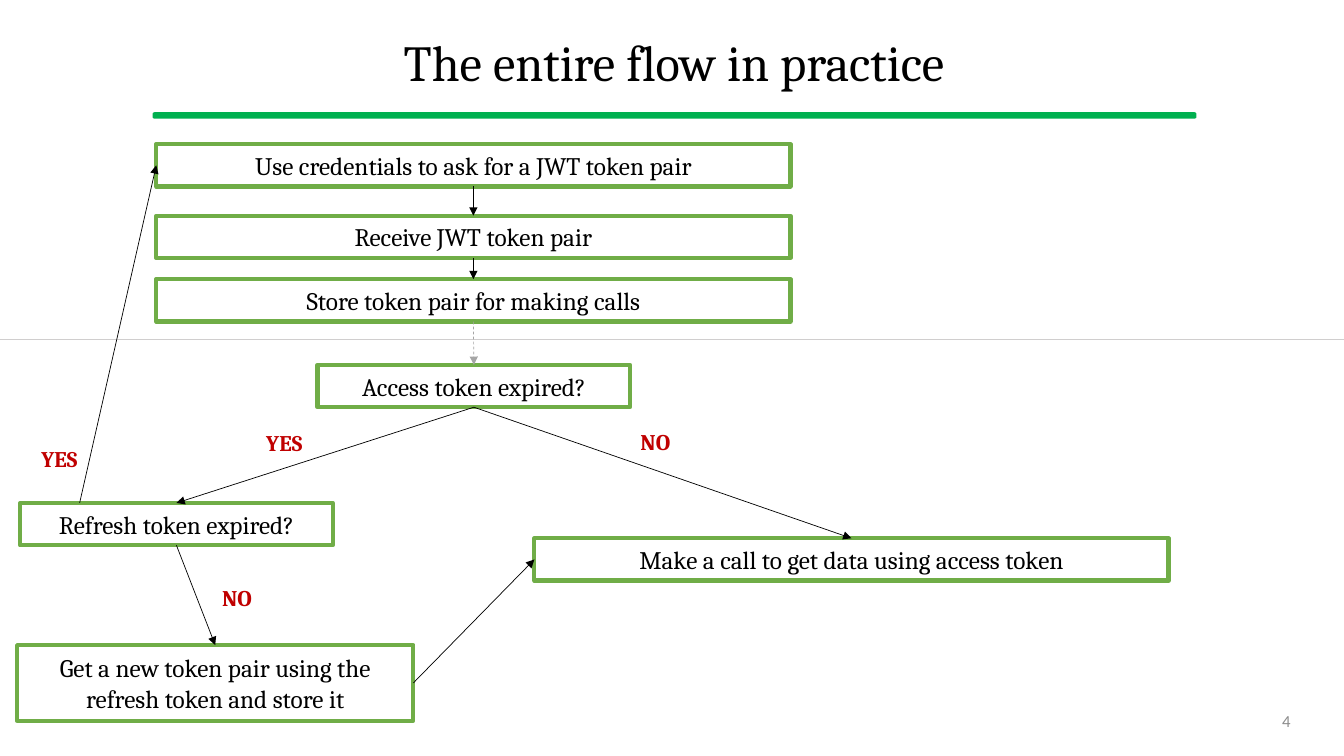
"""Build the slide that shows the token flow in practice."""
from dataclasses import dataclass
from enum import IntEnum

from lxml import etree
from pptx import Presentation
from pptx.dml.color import RGBColor
from pptx.enum.dml import MSO_LINE
from pptx.enum.shapes import MSO_CONNECTOR, MSO_SHAPE
from pptx.enum.text import MSO_ANCHOR, PP_ALIGN
from pptx.oxml.ns import qn
from pptx.shapes.autoshape import Shape
from pptx.shapes.connector import Connector
from pptx.util import Inches, Pt

BLACK = RGBColor(0x00, 0x00, 0x00)
WHITE = RGBColor(0xFF, 0xFF, 0xFF)
RULE_GREEN = RGBColor(0x00, 0xB0, 0x50)
BOX_GREEN = RGBColor(0x70, 0xAD, 0x47)
ANSWER_RED = RGBColor(0xC0, 0x00, 0x00)
DASH_GRAY = RGBColor(0xA5, 0xA5, 0xA5)
DIVIDER_GRAY = RGBColor(0xD0, 0xCE, 0xCE)
NUMBER_GRAY = RGBColor(0x8C, 0x8C, 0x8C)

SLIDE_W, SLIDE_H = 13.33, 7.5
STEP_W, QUESTION_W, BOX_H = 6.29, 3.1, 0.42
STEP_X = 1.55


class Side(IntEnum):
    TOP = 0
    LEFT = 1
    BOTTOM = 2
    RIGHT = 3


@dataclass(frozen=True)
class Box:
    text: str
    left: float
    top: float
    width: float
    height: float = BOX_H


@dataclass(frozen=True)
class Arrow:
    start: str
    start_side: Side
    end: str
    end_side: Side
    color: RGBColor = BLACK
    dashed: bool = False


@dataclass(frozen=True)
class Answer:
    text: str
    left: float
    top: float


BOXES = {
    "ask": Box("Use credentials to ask for a JWT token pair", STEP_X, 1.43, STEP_W),
    "receive": Box("Receive JWT token pair", STEP_X, 2.14, STEP_W),
    "store": Box("Store token pair for making calls", STEP_X, 2.77, STEP_W),
    "access": Box("Access token expired?", 3.15, 3.62, QUESTION_W),
    "call": Box("Make a call to get data using access token", 5.3, 5.34, STEP_W),
    "refresh": Box("Refresh token expired?", 0.2, 4.99, QUESTION_W),
    "renew": Box("Get a new token pair using the refresh token and store it",
                 0.17, 6.4, 3.93, 0.75),
}
ARROWS = [
    Arrow("ask", Side.BOTTOM, "receive", Side.TOP),
    Arrow("receive", Side.BOTTOM, "store", Side.TOP),
    Arrow("store", Side.BOTTOM, "access", Side.TOP, DASH_GRAY, True),
    Arrow("access", Side.BOTTOM, "call", Side.TOP),
    Arrow("access", Side.BOTTOM, "refresh", Side.TOP),
    Arrow("renew", Side.RIGHT, "call", Side.LEFT),
    Arrow("refresh", Side.BOTTOM, "renew", Side.TOP),
]
ANSWERS = [
    Answer("YES", 2.4, 4.24),
    Answer("NO", 6.08, 4.23),
    Answer("YES", 0.17, 4.4),
    Answer("NO", 1.93, 5.78),
]

prs = Presentation()
prs.slide_width, prs.slide_height = Inches(SLIDE_W), Inches(SLIDE_H)
slide = prs.slides.add_slide(prs.slide_layouts[5])
shapes = slide.shapes


def write(shape: Shape, text: str, size: float, color: RGBColor = BLACK,
          font: str = "Cambria", align: PP_ALIGN = PP_ALIGN.CENTER,
          anchor: MSO_ANCHOR = MSO_ANCHOR.MIDDLE, bold: bool = False) -> None:
    """Set a shape's single paragraph of text and its format."""
    frame = shape.text_frame
    frame.word_wrap = True
    frame.vertical_anchor = anchor
    paragraph = frame.paragraphs[0]
    paragraph.alignment = align
    run = paragraph.add_run()
    run.text = text
    run.font.size, run.font.name, run.font.bold = Pt(size), font, bold
    run.font.color.rgb = color


def add_block(kind: MSO_SHAPE, left: float, top: float, width: float, height: float,
              fill: RGBColor, line: RGBColor, weight: float) -> Shape:
    """Add a flat filled shape with an outline."""
    block = shapes.add_shape(kind, Inches(left), Inches(top), Inches(width), Inches(height))
    block.shadow.inherit = False
    block.fill.solid()
    block.fill.fore_color.rgb = fill
    block.line.color.rgb = line
    block.line.width = Pt(weight)
    return block


def add_box(box: Box) -> Shape:
    """Add one step or question of the flow."""
    block = add_block(MSO_SHAPE.RECTANGLE, box.left, box.top, box.width, box.height,
                      WHITE, BOX_GREEN, 3)
    write(block, box.text, 18)
    return block


def add_line(x1: float, y1: float, x2: float, y2: float, color: RGBColor = BLACK,
             head: bool = True) -> Connector:
    """Add a thin straight line, with an arrowhead at its end if wanted."""
    line = shapes.add_connector(MSO_CONNECTOR.STRAIGHT, Inches(x1), Inches(y1),
                                Inches(x2), Inches(y2))
    line.line.color.rgb = color
    line.line.width = Pt(0.5)
    if head:
        etree.SubElement(line.line._get_or_add_ln(), qn("a:tailEnd"), type="triangle")
    etree.SubElement(line._element.spPr, qn("a:effectLst"))
    return line


def add_arrow(arrow: Arrow, blocks: dict[str, Shape]) -> None:
    """Add an arrow glued to the sides of two boxes."""
    line = add_line(0, 0, 1, 1, arrow.color)
    line.begin_connect(blocks[arrow.start], arrow.start_side)
    line.end_connect(blocks[arrow.end], arrow.end_side)
    if arrow.dashed:
        line.line.dash_style = MSO_LINE.DASH


def add_answer(answer: Answer) -> None:
    """Add a red YES or NO beside an arrow."""
    label = shapes.add_textbox(Inches(answer.left), Inches(answer.top),
                               Inches(0.84), Inches(0.4))
    write(label, answer.text, 16, ANSWER_RED, anchor=MSO_ANCHOR.TOP, bold=True)
    paragraph = label.text_frame.paragraphs[0]
    paragraph.line_spacing = 0.9
    paragraph.space_before = Pt(10)


title = shapes.title
title.left, title.top = Inches(0.47), Inches(0.18)
title.width, title.height = Inches(12.43), Inches(0.94)
write(title, "The entire flow in practice", 36)
title.text_frame.paragraphs[0].line_spacing = 0.9

title_rule = add_block(MSO_SHAPE.ROUNDED_RECTANGLE, 1.52, 1.12, 10.34, 0.05,
                       RULE_GREEN, RULE_GREEN, 1)
title_rule.adjustments[0] = 0.26
add_line(0, 3.37, SLIDE_W, 3.37, DIVIDER_GRAY, head=False)

flow = {name: add_box(box) for name, box in BOXES.items()}
for flow_arrow in ARROWS:
    add_arrow(flow_arrow, flow)
restart = add_line(0.79, BOXES["refresh"].top, STEP_X, 1.64)
restart.end_connect(flow["ask"], Side.LEFT)
for flow_answer in ANSWERS:
    add_answer(flow_answer)

page_number = shapes.add_textbox(Inches(9.42), Inches(6.95), Inches(3.48), Inches(0.4))
write(page_number, "4", 12, NUMBER_GRAY, "Calibri", PP_ALIGN.RIGHT)

prs.save("out.pptx")
